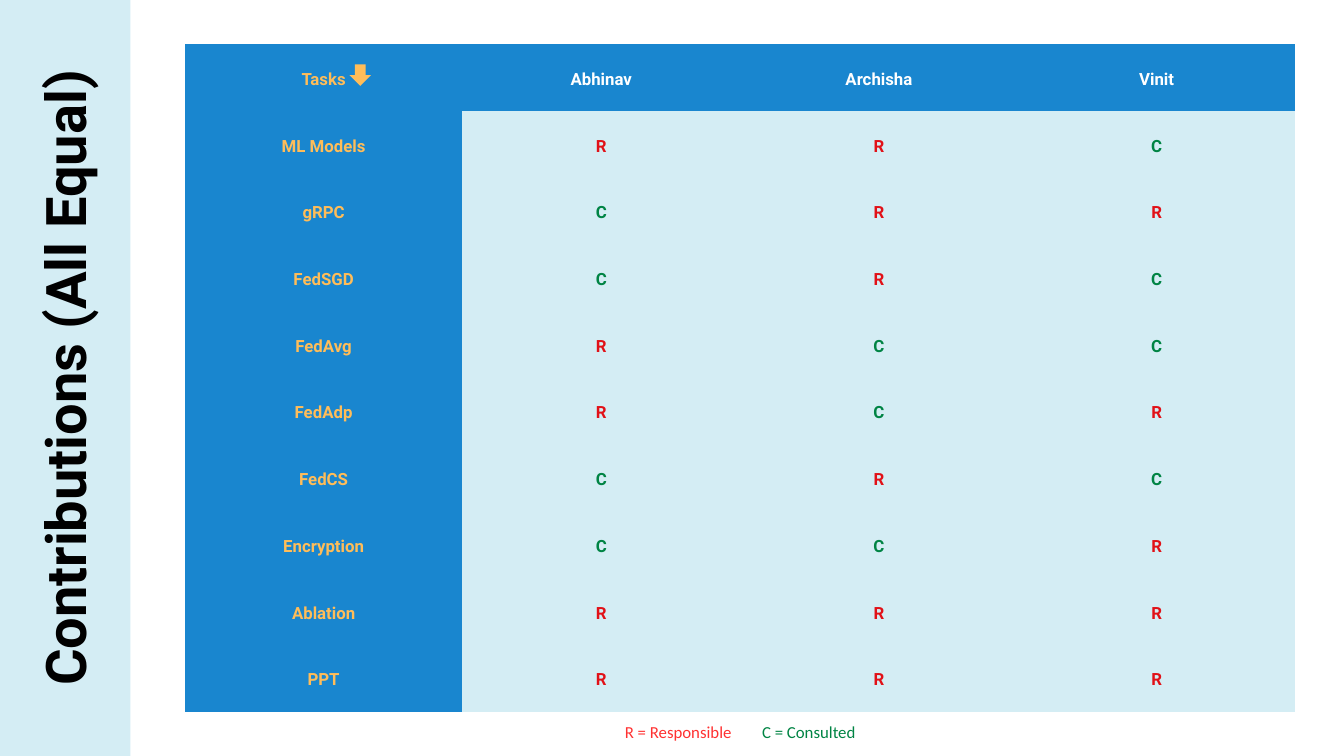
from dataclasses import dataclass

from lxml import etree
from pptx import Presentation
from pptx.dml.color import RGBColor
from pptx.enum.shapes import MSO_SHAPE
from pptx.enum.text import MSO_ANCHOR, PP_ALIGN
from pptx.oxml.ns import qn
from pptx.util import Pt

RECT = MSO_SHAPE.RECTANGLE
ARROW = MSO_SHAPE.DOWN_ARROW
MIDDLE = MSO_ANCHOR.MIDDLE
CENTER = PP_ALIGN.CENTER


@dataclass(frozen=True)
class Theme:
    pale: str = "D4EDF4"
    blue: str = "1986CF"
    gold: str = "FFBD59"
    white: str = "FFFFFF"
    black: str = "000000"
    red: str = "E11117"
    coral: str = "FF3131"
    green: str = "008444"
    head: str = "Roboto"
    body: str = "Calibri"
    title: float = 60
    text: float = 18


def write(para, text, *, font, size, color, bold=False, lead=None, track=0):
    para.alignment = CENTER
    if lead:
        para.line_spacing = Pt(lead)
    run = para.add_run()
    run.text = text
    run.font.name = font
    run.font.size = Pt(size)
    run.font.bold = bold
    run.font.color.rgb = RGBColor.from_string(color)
    if track:
        run._r.get_or_add_rPr().set("spc", str(int(track * 100)))


class Deck:
    def __init__(self, theme, slide):
        self.theme = theme
        self.slide = slide

    def shape(self, kind, x, y, w, h, color):
        item = self.slide.shapes.add_shape(kind, Pt(x), Pt(y), Pt(w), Pt(h))
        item.shadow.inherit = False
        item.fill.solid()
        item.fill.fore_color.rgb = RGBColor.from_string(color)
        item.line.fill.background()

    def label(self, x, y, w, h, turn=0):
        box = self.slide.shapes.add_textbox(Pt(x), Pt(y), Pt(w), Pt(h))
        box.rotation = turn
        frame = box.text_frame
        frame.word_wrap = True
        frame.margin_left = frame.margin_right = 0
        frame.margin_top = frame.margin_bottom = 0
        return frame.paragraphs[0]

    def cell(self, cell, text, color, fill):
        cell.margin_left = cell.margin_right = Pt(15)
        cell.margin_top = cell.margin_bottom = Pt(15)
        cell.vertical_anchor = MIDDLE
        props = cell._tc.get_or_add_tcPr()
        for side in ("a:lnL", "a:lnR", "a:lnT", "a:lnB"):
            edge = etree.SubElement(props, qn(side), w="0")
            etree.SubElement(edge, qn("a:noFill"))
        cell.fill.solid()
        cell.fill.fore_color.rgb = RGBColor.from_string(fill)
        write(cell.text_frame.paragraphs[0], text, font=self.theme.head,
              size=self.theme.text, color=color, bold=True, lead=25.2)

    def table(self, x, y, w, h, names, tasks):
        t = self.theme
        roles = {"R": t.red, "C": t.green}
        rows = [("Tasks", names), *tasks]
        grid = self.slide.shapes.add_table(
            len(rows), len(names) + 1, Pt(x), Pt(y), Pt(w), Pt(h)).table
        grid.first_row = grid.horz_banding = False
        for i, (task, marks) in enumerate(rows):
            self.cell(grid.cell(i, 0), task, t.gold, t.blue)
            for j, mark in enumerate(marks, 1):
                color = roles.get(mark, t.white)
                fill = t.pale if i else t.blue
                self.cell(grid.cell(i, j), mark, color, fill)


def main():
    show = Presentation()
    show.slide_width, show.slide_height = Pt(1440), Pt(810)
    t = Theme()
    deck = Deck(t, show.slides.add_slide(show.slide_layouts[6]))

    deck.shape(RECT, 0, 0, 139.7, 810, t.pale)
    deck.table(198, 47.5, 1190, 715, ("Abhinav", "Archisha", "Vinit"), [
        ("ML Models", "RRC"),
        ("gRPC", "CRR"),
        ("FedSGD", "CRC"),
        ("FedAvg", "RCC"),
        ("FedAdp", "RCR"),
        ("FedCS", "CRC"),
        ("Encryption", "CCR"),
        ("Ablation", "RRR"),
        ("PPT", "RRR"),
    ])
    deck.shape(ARROW, 374.4, 69, 23, 23, t.gold)

    title = deck.label(-332.6, 371.5, 810, 67, turn=270)
    write(title, "Contributions (All Equal)", font=t.head, size=t.title,
          color=t.black, bold=True, lead=65.4)

    key = deck.label(198, 767.5, 1190, 26)
    look = {"font": t.body, "size": t.text, "lead": 27}
    write(key, "R = Responsible", color=t.coral, **look)
    write(key, " ", color=t.green, track=28.5, **look)
    write(key, "C = Consulted", color=t.green, **look)

    show.save("out.pptx")


if __name__ == "__main__":
    main()
